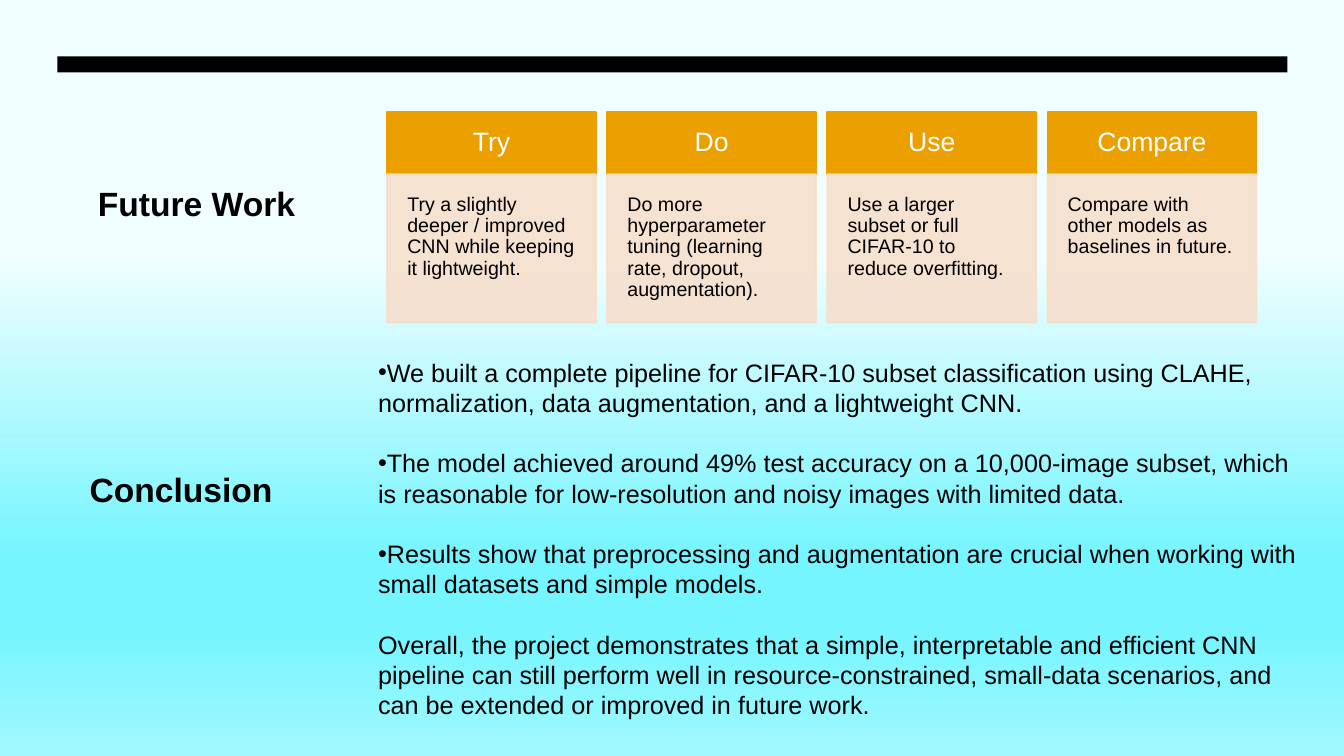
from lxml import etree
from pptx import Presentation
from pptx.dml.color import RGBColor
from pptx.enum.shapes import MSO_SHAPE
from pptx.enum.text import MSO_ANCHOR, MSO_AUTO_SIZE, PP_ALIGN
from pptx.oxml.ns import qn
from pptx.util import Emu, Pt

RECT = MSO_SHAPE.RECTANGLE
TOP, MIDDLE = MSO_ANCHOR.TOP, MSO_ANCHOR.MIDDLE
LEFT, CENTER = PP_ALIGN.LEFT, PP_ALIGN.CENTER
NO_FIT = MSO_AUTO_SIZE.NONE

BLACK = RGBColor(0x00, 0x00, 0x00)
WHITE = RGBColor(0xFF, 0xFF, 0xFF)
ORANGE = RGBColor(0xEB, 0xA0, 0x00)
PEACH = RGBColor(0xF7, 0xDF, 0xCC)
BACKGROUND_STOPS = [
    (34, RGBColor(0xF0, 0xFE, 0xFF)),
    (74, RGBColor(0x74, 0xF5, 0xFF)),
    (83, RGBColor(0x74, 0xF5, 0xFF)),
    (100, RGBColor(0xA2, 0xF8, 0xFF)),
]
FONT = "Arial"
EMU_PER_PX = 9144  # 100 px to the inch

CARDS = [
    ("Try", "Try a slightly deeper / improved CNN while keeping it lightweight."),
    ("Do", "Do more hyperparameter tuning (learning rate, dropout, augmentation)."),
    ("Use", "Use a larger subset or full CIFAR-10 to reduce overfitting."),
    ("Compare", "Compare with other models as baselines in future."),
]
FINDINGS = [
    "We built a complete pipeline for CIFAR-10 subset classification using CLAHE, "
    "normalization, data augmentation, and a lightweight CNN.",
    "The model achieved around 49% test accuracy on a 10,000-image subset, which is "
    "reasonable for low-resolution and noisy images with limited data.",
    "Results show that preprocessing and augmentation are crucial when working with "
    "small datasets and simple models.",
]
SUMMARY = (
    "Overall, the project demonstrates that a simple, interpretable and efficient CNN "
    "pipeline can still perform well in resource-constrained, small-data scenarios, "
    "and can be extended or improved in future work."
)


def px(n):
    return Emu(round(n * EMU_PER_PX))


def place(sp, x, y, w, h):
    sp.left, sp.top, sp.width, sp.height = px(x), px(y), px(w), px(h)


def format_paragraph(p, size, color, bold=False, align=LEFT):
    p.alignment = align
    for r in p.runs:
        r.font.name = FONT
        r.font.size = Pt(size)
        r.font.bold = bold
        r.font.color.rgb = color


def paint_background(slide):
    fill = slide.background.fill
    fill.gradient()
    fill.gradient_angle = 270
    stops = slide.element.find(".//" + qn("a:gsLst"))
    for stop in list(stops):
        stops.remove(stop)
    for percent, color in BACKGROUND_STOPS:
        stop = etree.SubElement(stops, qn("a:gs"), pos=str(percent * 1000))
        etree.SubElement(stop, qn("a:srgbClr"), val=str(color))


def add_rect(slide, x, y, w, h, color):
    sp = slide.shapes.add_shape(RECT, px(x), px(y), px(w), px(h))
    sp.shadow.inherit = False
    sp.fill.solid()
    sp.fill.fore_color.rgb = color
    sp.line.color.rgb = color
    sp.line.width = Pt(1.5)
    return sp


def set_card_text(sp, text, size, color, inset, anchor, align):
    tf = sp.text_frame
    tf.word_wrap = True
    tf.vertical_anchor = anchor
    tf.margin_left = tf.margin_top = tf.margin_right = tf.margin_bottom = px(inset)
    tf.text = text
    p = tf.paragraphs[0]
    p.line_spacing = 0.9
    format_paragraph(p, size, color, align=align)


def add_card(slide, x, y, w, h, heading, text):
    head_h = 62
    head = add_rect(slide, x, y, w, head_h, ORANGE)
    set_card_text(head, heading, 19, WHITE, 16, MIDDLE, CENTER)
    body = add_rect(slide, x, y + head_h, w, h - head_h, PEACH)
    for color in body.element.spPr.iter(qn("a:srgbClr")):
        etree.SubElement(color, qn("a:alpha"), val="90000")
    set_card_text(body, text, 14, BLACK, 20, TOP, LEFT)


def add_cards(slide, x, y, w, h):
    card_w = 207
    pitch = (w - card_w) / (len(CARDS) - 1)
    for i, (heading, text) in enumerate(CARDS):
        add_card(slide, x + i * pitch, y, card_w, h, heading, text)


def set_heading(sp, text):
    tf = sp.text_frame
    tf.word_wrap = True
    tf.auto_size = NO_FIT
    tf.vertical_anchor = MIDDLE
    tf.text = text
    format_paragraph(tf.paragraphs[0], 24, BLACK, bold=True)


def fill_conclusion(sp, x, y, w, h):
    place(sp, x, y, w, h)
    tf = sp.text_frame
    tf.word_wrap = True
    tf.auto_size = NO_FIT
    tf.text = "\n".join(FINDINGS + [SUMMARY])
    for p in tf.paragraphs:
        format_paragraph(p, 18, BLACK)
        p.space_before = Pt(0)
        p.space_after = Pt(21.6)
        pPr = p._p.get_or_add_pPr()
        pPr.set("marL", "0")
        pPr.set("indent", "0")
        if p.text == SUMMARY:
            etree.SubElement(pPr, qn("a:buNone"))
        else:
            etree.SubElement(pPr, qn("a:buFont"), typeface=FONT)
            etree.SubElement(pPr, qn("a:buChar"), char="•")


def build_slide(prs):
    slide = prs.slides.add_slide(prs.slide_layouts[1])
    title, body = slide.placeholders[0], slide.placeholders[1]
    paint_background(slide)
    bar = add_rect(slide, 57, 56, 1220, 16, BLACK)
    bar.line.fill.background()
    place(title, 87, 176, 223, 50)
    set_heading(title, "Future Work")
    add_cards(slide, 384, 111, 862, 209)
    conclusion = slide.shapes.add_textbox(px(79), px(460), px(223), px(50))
    set_heading(conclusion, "Conclusion")
    fill_conclusion(body, 365, 349, 938, 374)


def main():
    prs = Presentation()
    prs.slide_width, prs.slide_height = px(1333), px(750)
    build_slide(prs)
    prs.save("out.pptx")


if __name__ == "__main__":
    main()
